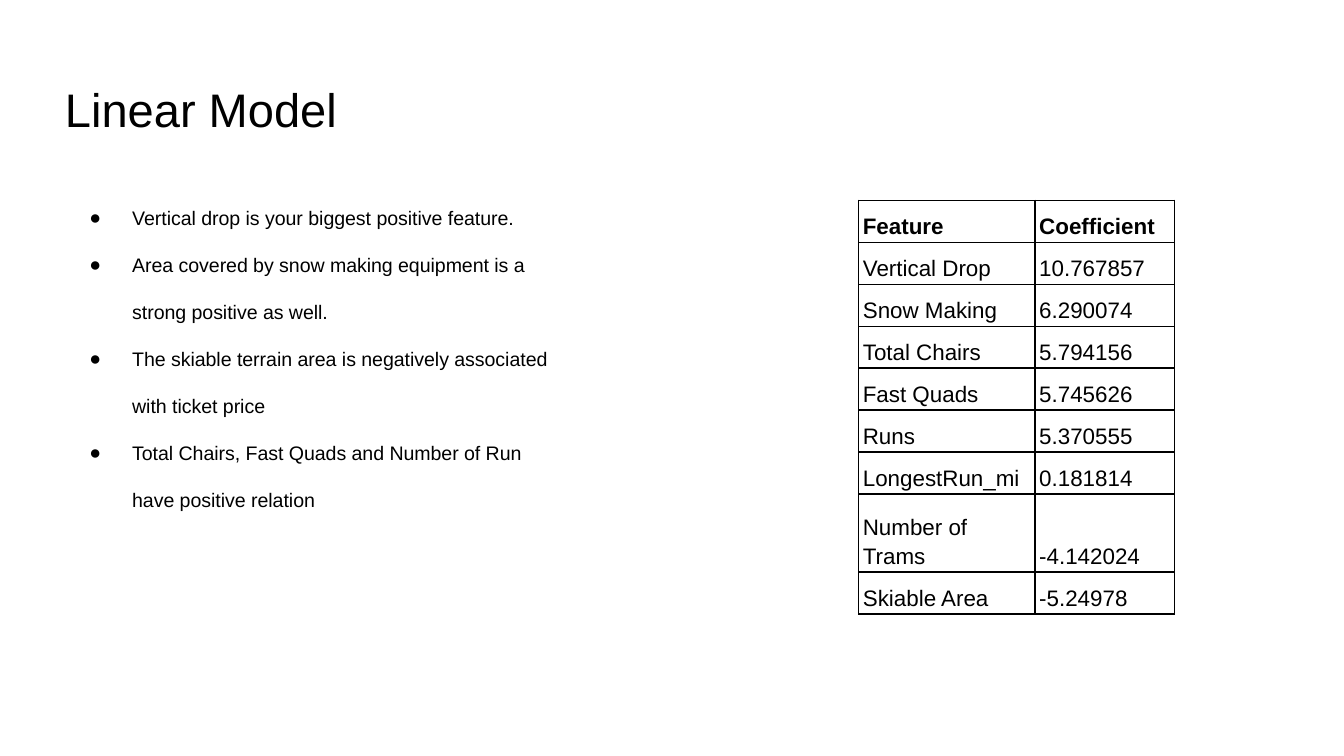
from lxml import etree
from pptx import Presentation
from pptx.dml.color import RGBColor
from pptx.enum import text as t
from pptx.oxml.ns import qn
from pptx.util import Pt

BLACK = RGBColor(0, 0, 0)
WHITE = RGBColor(255, 255, 255)
FONT = "Arial"

POINTS = [
    "Vertical drop is your biggest positive feature. ",
    "Area covered by snow making equipment is a strong positive as well. ",
    "The skiable terrain area is negatively associated with ticket price ",
    "Total Chairs, Fast Quads and Number of Run have positive relation",
]
ROWS = [
    ("Feature", "Coefficient"),
    ("Vertical Drop", "10.767857"),
    ("Snow Making", "6.290074"),
    ("Total Chairs", "5.794156"),
    ("Fast Quads", "5.745626"),
    ("Runs", "5.370555"),
    ("LongestRun_mi", "0.181814"),
    ("Number of Trams", "-4.142024"),
    ("Skiable Area", "-5.24978"),
]
WIDTHS = (94.5, 74.7)
ROW, TALL = 22.5, 41.8


def sub(node, tag, **attrs):
    """Add an XML child and return it."""
    return etree.SubElement(node, qn(tag), attrs)


def write(para, words, size, bold=False, space=1.0, before=0, mark=False):
    """Put formatted text into a paragraph."""
    para.alignment = t.PP_ALIGN.LEFT
    para.line_spacing = space
    para.space_before = Pt(before)
    run = para.add_run()
    run.text = words
    font = run.font
    font.name, font.size, font.bold = FONT, Pt(size), bold
    font.color.rgb = BLACK
    if mark:
        light = etree.Element(qn("a:highlight"))
        sub(light, "a:srgbClr", val=str(WHITE))
        font.fill._xPr.find(qn("a:solidFill")).addnext(light)


def bullet(para):
    """Give a paragraph a hanging round bullet."""
    props = para._p.get_or_add_pPr()
    props.set("marL", str(Pt(36)))
    props.set("indent", str(-Pt(23)))
    sub(sub(props, "a:buClr"), "a:srgbClr", val=str(BLACK))
    sub(props, "a:buFont", typeface=FONT)
    sub(props, "a:buChar", char="●")


def place(shape, left, top, width, height, anchor):
    """Move a placeholder and return its text frame."""
    shape.left, shape.top = Pt(left), Pt(top)
    shape.width, shape.height = Pt(width), Pt(height)
    frame = shape.text_frame
    frame.word_wrap = True
    frame.auto_size = t.MSO_AUTO_SIZE.NONE
    frame.vertical_anchor = anchor
    frame.margin_left = frame.margin_right = Pt(7.2)
    frame.margin_top = frame.margin_bottom = Pt(7.2)
    return frame


def border(cell):
    """Draw a thin line on all four sides of a cell."""
    props = cell._tc.get_or_add_tcPr()
    for spot, side in enumerate(("a:lnL", "a:lnR", "a:lnT", "a:lnB")):
        line = etree.Element(qn(side), w=str(Pt(0.75)))
        sub(sub(line, "a:solidFill"), "a:srgbClr", val=str(BLACK))
        props.insert(spot, line)


def grid(slide, left, top):
    """Build the table of coefficients."""
    heights = [TALL if name == "Number of Trams" else ROW for name, _ in ROWS]
    table = slide.shapes.add_table(
        len(ROWS), len(WIDTHS), Pt(left), Pt(top),
        Pt(sum(WIDTHS)), Pt(sum(heights))).table
    table.horz_banding = table.first_row = False
    for col, width in zip(table.columns, WIDTHS):
        col.width = Pt(width)
    for r, (height, values) in enumerate(zip(heights, ROWS)):
        table.rows[r].height = Pt(height)
        for c, words in enumerate(values):
            cell = table.cell(r, c)
            cell.vertical_anchor = t.MSO_ANCHOR.BOTTOM
            cell.margin_left = cell.margin_right = Pt(2.25)
            cell.margin_top = cell.margin_bottom = Pt(1.5)
            if r:
                cell.fill.solid()
                cell.fill.fore_color.rgb = WHITE
            else:
                cell.fill.background()
            border(cell)
            write(cell.text_frame.paragraphs[0], words, 12,
                  bold=r == 0, space=1.15)


def main():
    """Build and save the slide."""
    deck = Presentation()
    deck.slide_width, deck.slide_height = Pt(720), Pt(405)
    slide = deck.slides.add_slide(deck.slide_layouts[1])
    title, body = slide.placeholders

    frame = place(title, 27.6, 35.3, 671, 45.4, t.MSO_ANCHOR.MIDDLE)
    write(frame.paragraphs[0], "Linear Model ", 25.2)

    frame = place(body, 27.6, 90.7, 275, 269, t.MSO_ANCHOR.TOP)
    for i, words in enumerate(POINTS):
        para = frame.add_paragraph() if i else frame.paragraphs[0]
        write(para, words, 10.5, space=2.0, before=0 if i else 10, mark=True)
        bullet(para)

    grid(slide, 460, 107.3)
    deck.save("out.pptx")


main()
